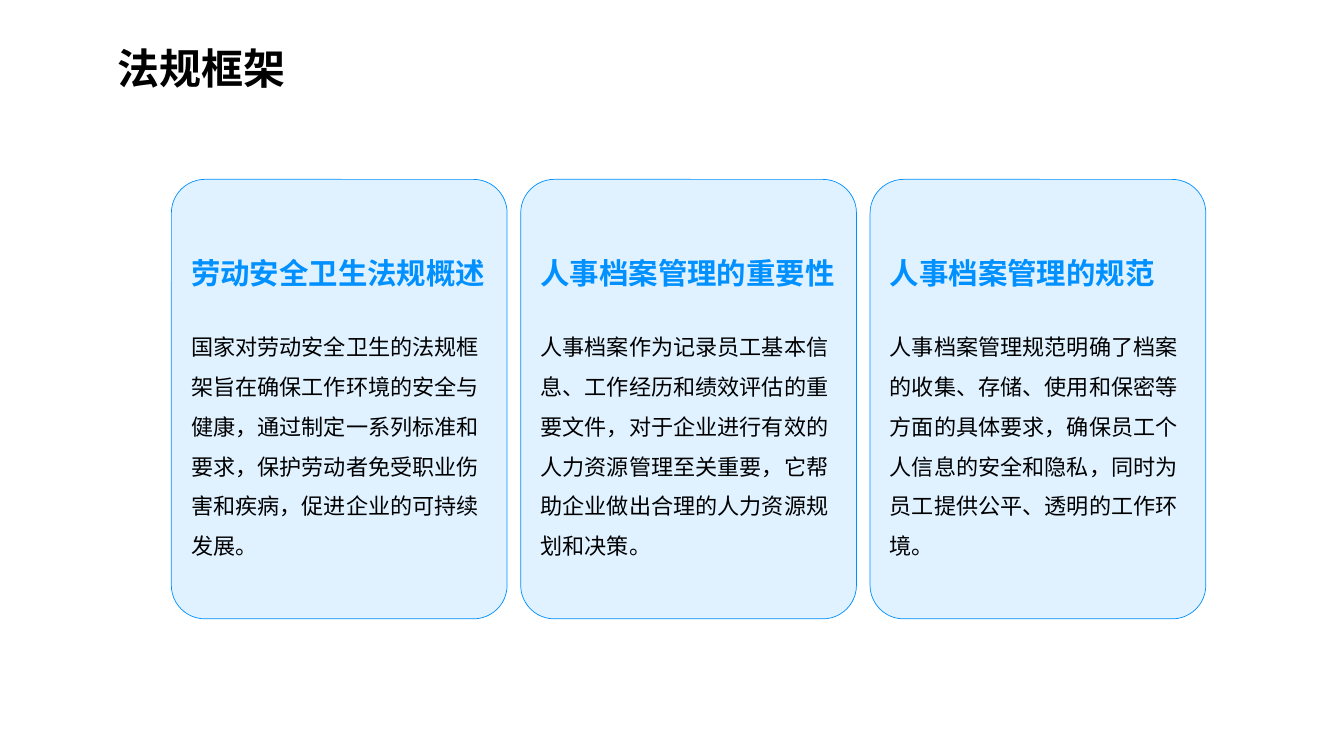
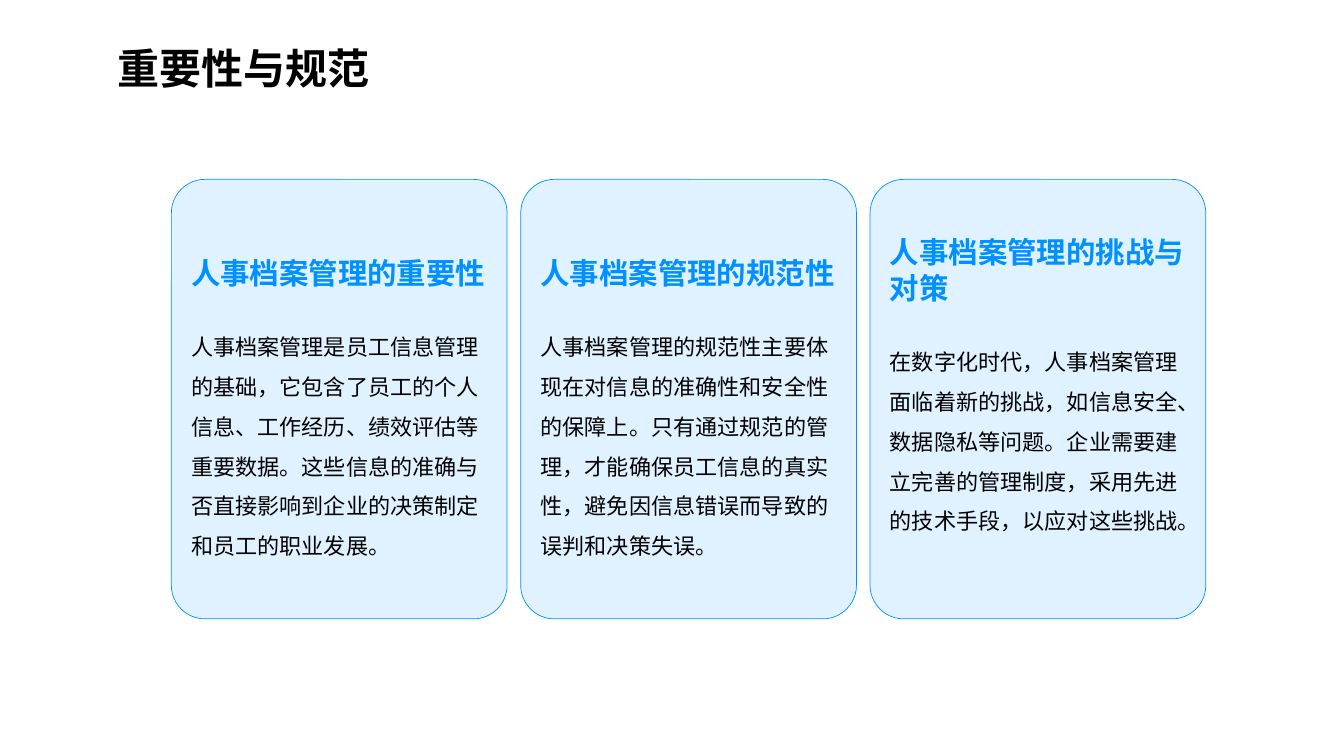
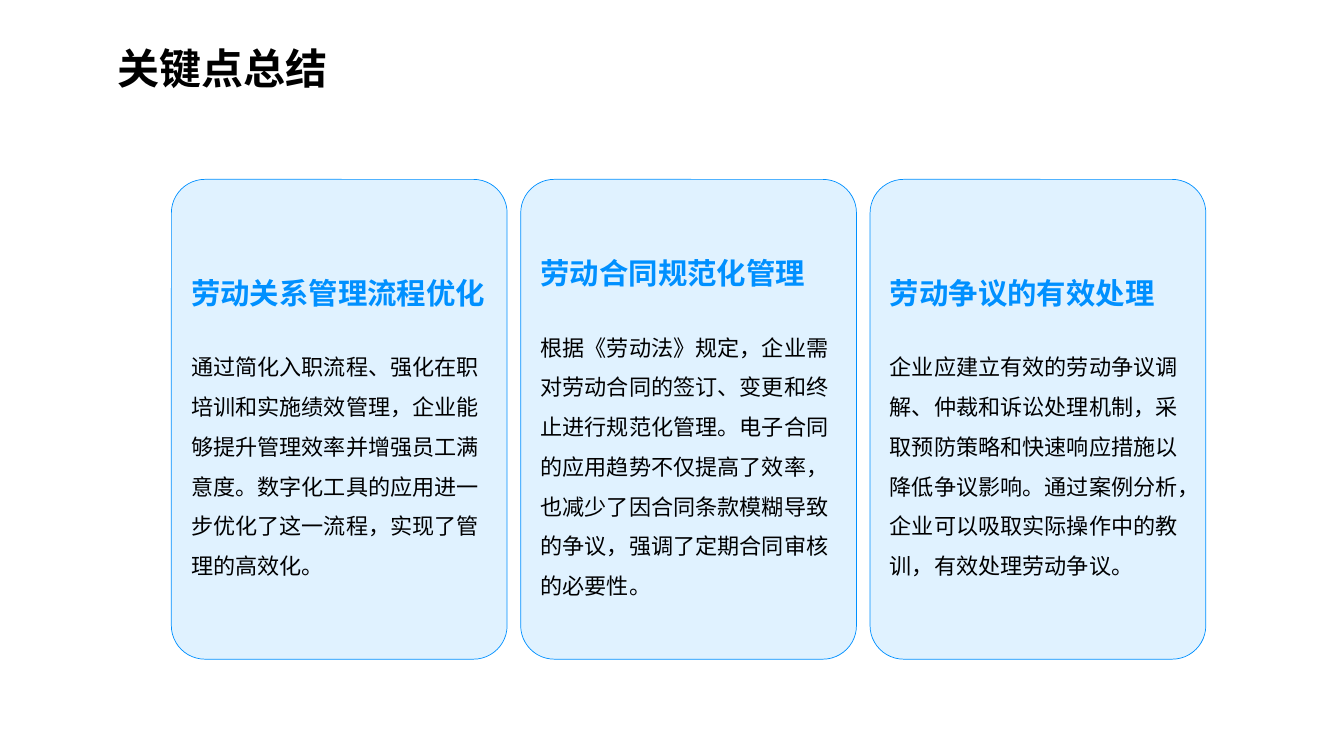
from lxml import etree
from pptx import Presentation
from pptx.dml.color import RGBColor
from pptx.enum.shapes import MSO_SHAPE
from pptx.enum.text import MSO_ANCHOR, MSO_AUTO_SIZE, PP_ALIGN
from pptx.oxml.ns import qn
from pptx.util import Inches, Pt

ROUNDED = MSO_SHAPE.ROUNDED_RECTANGLE
MIDDLE = MSO_ANCHOR.MIDDLE
LEFT = PP_ALIGN.LEFT
GROW = MSO_AUTO_SIZE.SHAPE_TO_FIT_TEXT

FONT = "Noto Sans CJK SC"
COLORS = {"text": "000000", "accent": "0090FF", "card": "E0F2FF"}

CARDS_LEFT, CARDS_RIGHT, CARDS_TOP = 1.7, 11.96, 1.78
CARD_WIDTH = 3.33
TOP_INSET, BOTTOM_INSET = 0.2, 0.05

# Each slide: title, card height, cards as (heading, body, optional lift of the text)
SLIDES = [
    ("法规框架", 4.36, [
        ("劳动安全卫生法规概述",
         "国家对劳动安全卫生的法规框架旨在确保工作环境的安全与健康，通过制定一系列标准和要求，"
         "保护劳动者免受职业伤害和疾病，促进企业的可持续发展。"),
        ("人事档案管理的重要性",
         "人事档案作为记录员工基本信息、工作经历和绩效评估的重要文件，对于企业进行有效的"
         "人力资源管理至关重要，它帮助企业做出合理的人力资源规划和决策。"),
        ("人事档案管理的规范",
         "人事档案管理规范明确了档案的收集、存储、使用和保密等方面的具体要求，"
         "确保员工个人信息的安全和隐私，同时为员工提供公平、透明的工作环境。"),
    ]),
    ("重要性与规范", 4.36, [
        ("人事档案管理的重要性",
         "人事档案管理是员工信息管理的基础，它包含了员工的个人信息、工作经历、绩效评估等重要数据。"
         "这些信息的准确与否直接影响到企业的决策制定和员工的职业发展。"),
        ("人事档案管理的规范性",
         "人事档案管理的规范性主要体现在对信息的准确性和安全性的保障上。"
         "只有通过规范的管理，才能确保员工信息的真实性，避免因信息错误而导致的误判和决策失误。"),
        ("人事档案管理的挑战与对策",
         "在数字化时代，人事档案管理面临着新的挑战，如信息安全、数据隐私等问题。"
         "企业需要建立完善的管理制度，采用先进的技术手段，以应对这些挑战。", 0.45),
    ]),
    ("关键点总结", 4.76, [
        ("劳动关系管理流程优化",
         "通过简化入职流程、强化在职培训和实施绩效管理，企业能够提升管理效率并增强员工满意度。"
         "数字化工具的应用进一步优化了这一流程，实现了管理的高效化。"),
        ("劳动合同规范化管理",
         "根据《劳动法》规定，企业需对劳动合同的签订、变更和终止进行规范化管理。"
         "电子合同的应用趋势不仅提高了效率，也减少了因合同条款模糊导致的争议，"
         "强调了定期合同审核的必要性。"),
        ("劳动争议的有效处理",
         "企业应建立有效的劳动争议调解、仲裁和诉讼处理机制，采取预防策略和快速响应措施以降低争议影响。"
         "通过案例分析，企业可以吸取实际操作中的教训，有效处理劳动争议。"),
    ]),
]


def rgb(name):
    return RGBColor.from_string(COLORS[name])


class Deck:
    def __init__(self):
        self.prs = Presentation()
        self.prs.slide_width = Inches(13.33)
        self.prs.slide_height = Inches(7.5)
        self.slide = None

    def add_slide(self, title):
        self.slide = self.prs.slides.add_slide(self.prs.slide_layouts[6])
        heading = self.slide.shapes.add_textbox(
            Inches(1.07), Inches(0.12), Inches(10.25), Inches(0.85))
        frame = heading.text_frame
        frame.word_wrap = True
        frame.auto_size = GROW
        frame.vertical_anchor = MIDDLE
        frame.text = title
        self.style(frame.paragraphs[0], 30, 54, "text", bold=True)

    def style(self, paragraph, size, line_height, color, bold=False):
        paragraph.alignment = LEFT
        paragraph.line_spacing = Pt(line_height)
        for run in paragraph.runs:
            font = run.font
            font.name = FONT
            font.size = Pt(size)
            font.bold = bold
            font.color.rgb = rgb(color)
            east_asian = etree.SubElement(run._r.get_or_add_rPr(), qn("a:ea"))
            east_asian.set("typeface", FONT)

    def add_card(self, left, height, heading, body, lift=0):
        card = self.slide.shapes.add_shape(
            ROUNDED, Inches(left), Inches(CARDS_TOP), Inches(CARD_WIDTH), Inches(height))
        card.adjustments[0] = 0.1
        card.shadow.inherit = False
        card.fill.solid()
        card.fill.fore_color.rgb = rgb("card")
        card.line.color.rgb = rgb("accent")
        card.line.width = Pt(0.5)

        frame = card.text_frame
        frame.word_wrap = True
        frame.vertical_anchor = MIDDLE
        frame.margin_top = Inches(TOP_INSET)
        frame.margin_bottom = Inches(BOTTOM_INSET + lift)
        frame.text = f"{heading}\n{body}"
        heading_line, body_text = frame.paragraphs
        self.style(heading_line, 21, 25.5, "accent", bold=True)
        self.style(body_text, 15.8, 28.4, "text")
        body_text.space_before = Pt(21.6)

    def add_cards(self, height, cards):
        pitch = (CARDS_RIGHT - CARDS_LEFT - CARD_WIDTH) / (len(cards) - 1)
        for index, card in enumerate(cards):
            self.add_card(CARDS_LEFT + index * pitch, height, *card)


def main():
    deck = Deck()
    for title, card_height, cards in SLIDES:
        deck.add_slide(title)
        deck.add_cards(card_height, cards)
    deck.prs.save("out.pptx")


if __name__ == "__main__":
    main()
